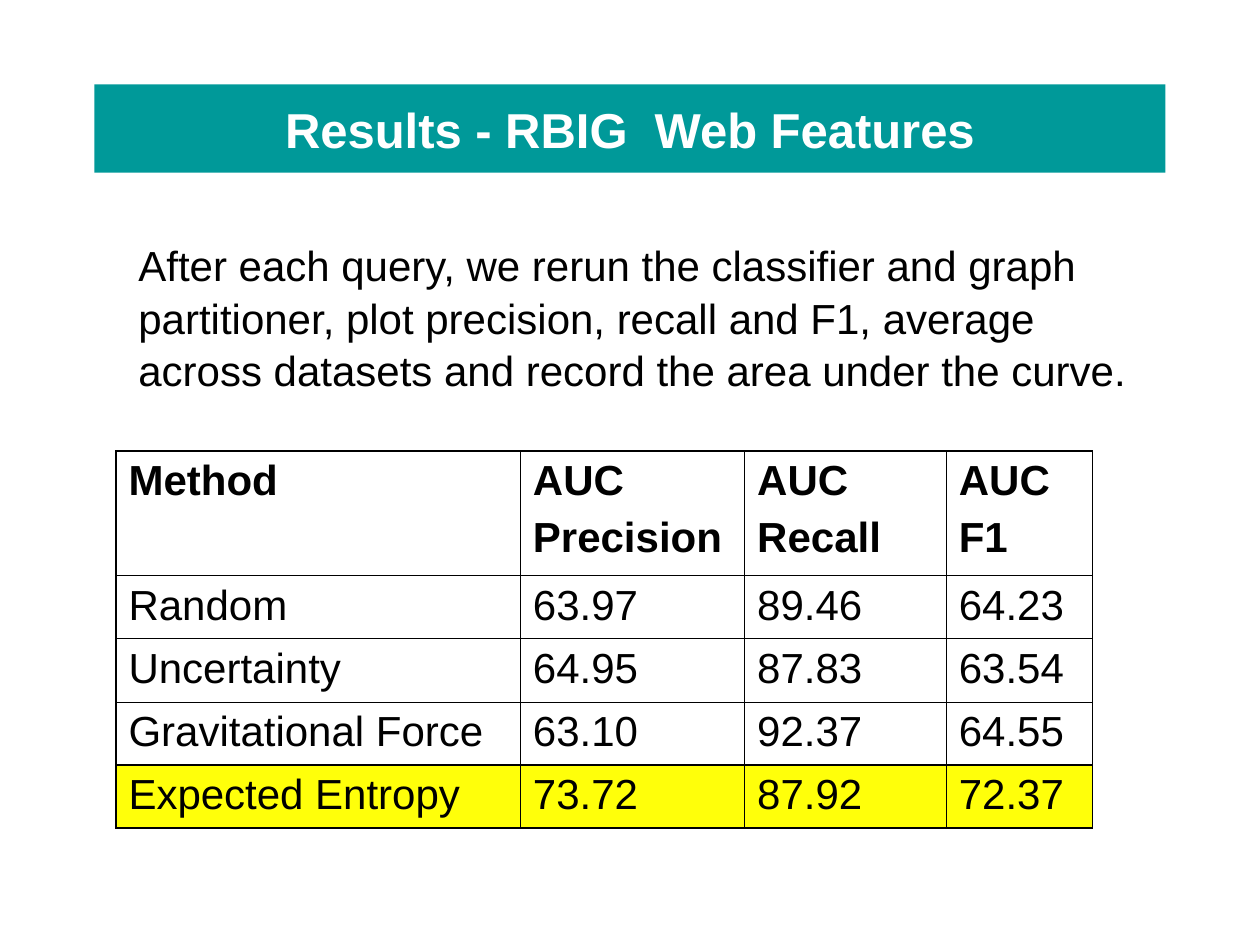
from pptx import Presentation
from pptx.dml.color import RGBColor as RGB
from pptx.enum.shapes import MSO_SHAPE as Shape
from pptx.enum.text import MSO_ANCHOR as Anchor, PP_ALIGN as Align
from pptx.oxml.ns import qn
from pptx.util import Inches, Pt
from lxml.etree import SubElement as Sub

TITLE = "Results - RBIG  Web Features"
INTRO = (
    "After each query, we rerun the classifier and graph partitioner, "
    "plot precision, recall and F1, average across datasets and record "
    "the area under the curve."
)
ROWS = [
    ("Method", "AUC\nPrecision", "AUC\nRecall", "AUC\nF1"),
    ("Random", "63.97", "89.46", "64.23"),
    ("Uncertainty", "64.95", "87.83", "63.54"),
    ("Gravitational Force", "63.10", "92.37", "64.55"),
    ("Expected Entropy", "73.72", "87.92", "72.37"),
]
LEFT, TOP = 0.92, 3.58
WIDTHS = [3.21, 1.78, 1.6, 1.16]
HEIGHTS = [0.99] + [0.5] * 4


class Theme:
    font = "Arial"
    ink = "000000"
    band = "009999"
    light = "FFFFFF"
    mark = "FFFF0A"
    head = 28
    body = 24
    outer = 1.08
    inner = 0.45


def style(par, size, color, bold=False):
    font = par.font
    font.name, font.size, font.bold = Theme.font, Pt(size), bold
    font.color.rgb = RGB.from_string(color)


def add_box(slide, area, color):
    box = slide.shapes.add_shape(Shape.RECTANGLE, *map(Inches, area))
    box.shadow.inherit = False
    box.fill.solid()
    box.fill.fore_color.rgb = RGB.from_string(color)
    return box


def add_edges(cell, edges):
    props = cell._tc.get_or_add_tcPr()
    for pos, (side, outer) in enumerate(edges.items()):
        width = Theme.outer if outer else Theme.inner
        line = props.makeelement(qn(f"a:ln{side}"), {"w": str(Pt(width))})
        fill = Sub(line, qn("a:solidFill"))
        Sub(fill, qn("a:srgbClr"), val=Theme.ink)
        props.insert(pos, line)


def add_title(slide):
    box = add_box(slide, (0.75, 0.67, 8.5, 0.7), Theme.band)
    box.line.fill.background()
    frame = box.text_frame
    frame.text = TITLE
    frame.word_wrap = True
    frame.vertical_anchor = Anchor.MIDDLE
    par = frame.paragraphs[0]
    par.alignment = Align.CENTER
    style(par, Theme.head, Theme.light, True)


def add_intro(slide):
    area = map(Inches, (1, 1.83, 8.25, 1.3))
    frame = slide.shapes.add_textbox(*area).text_frame
    frame.word_wrap = True
    frame.text = INTRO
    par = frame.paragraphs[0]
    par.line_spacing = 1.05
    style(par, Theme.body, Theme.ink)


def add_mark(slide):
    top = TOP + sum(HEIGHTS[:-1])
    area = (LEFT, top, sum(WIDTHS), HEIGHTS[-1])
    box = add_box(slide, area, Theme.mark)
    box.line.color.rgb = RGB.from_string(Theme.ink)
    box.line.width = Pt(0.75)


def add_grid(slide):
    area = map(Inches, (LEFT, TOP, sum(WIDTHS), sum(HEIGHTS)))
    grid = slide.shapes.add_table(len(ROWS), len(WIDTHS), *area).table
    grid.first_row = grid.horz_banding = False
    for col, width in zip(grid.columns, WIDTHS):
        col.width = Inches(width)
    for row, height in zip(grid.rows, HEIGHTS):
        row.height = Inches(height)
    for r, row in enumerate(ROWS):
        for c, text in enumerate(row):
            cell = grid.cell(r, c)
            cell.text = text
            cell.fill.background()
            for n, par in enumerate(cell.text_frame.paragraphs):
                par.space_before = Pt(6 if n else 0)
                style(par, Theme.body, Theme.ink, r == 0)
            add_edges(cell, {
                "L": c == 0,
                "R": c == len(WIDTHS) - 1,
                "T": r == 0,
                "B": r == len(ROWS) - 1,
            })


def main():
    deck = Presentation()
    deck.slide_width, deck.slide_height = Inches(10), Inches(7.5)
    slide = deck.slides.add_slide(deck.slide_layouts[6])
    add_mark(slide)
    add_title(slide)
    add_intro(slide)
    add_grid(slide)
    deck.save("out.pptx")


if __name__ == "__main__":
    main()
